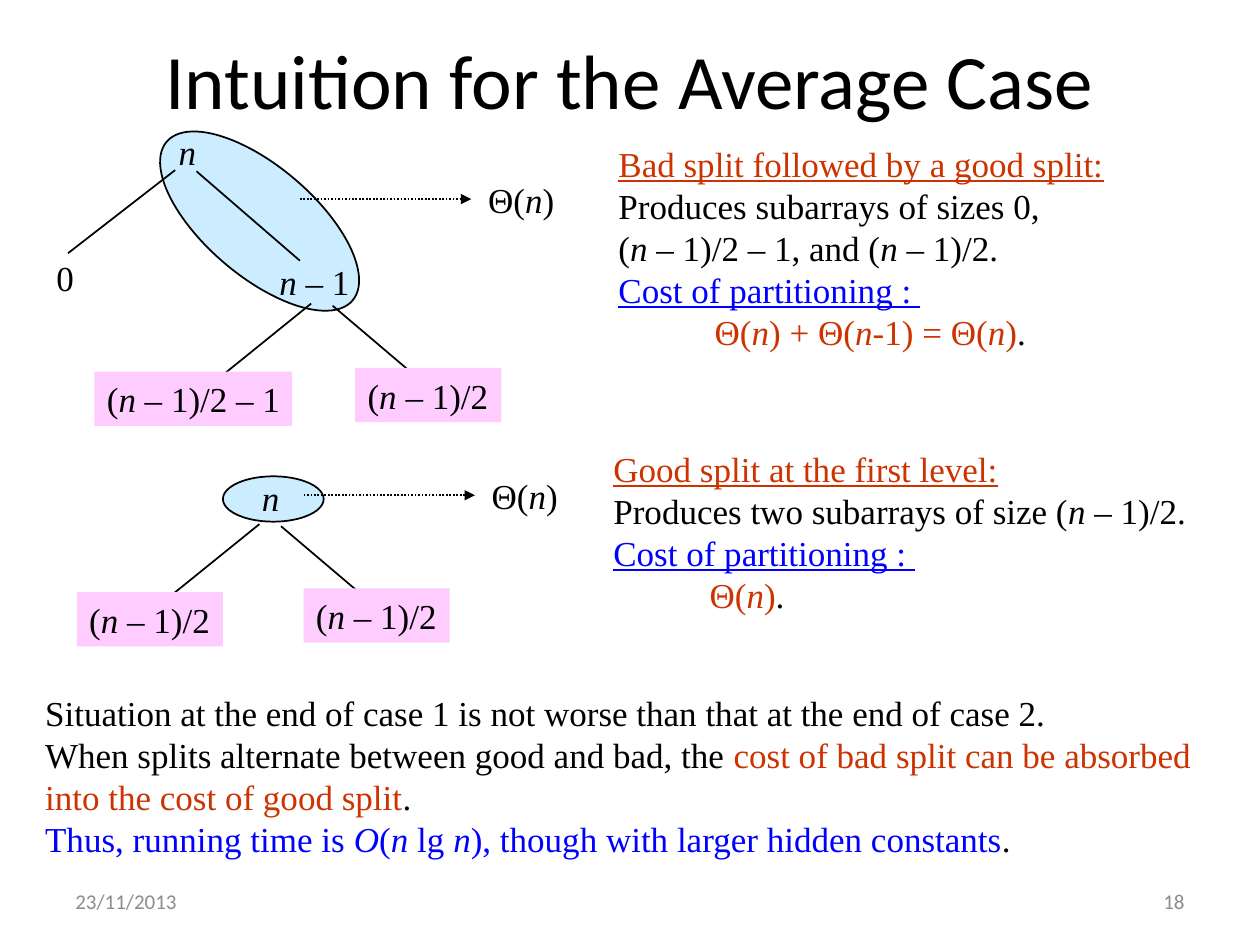
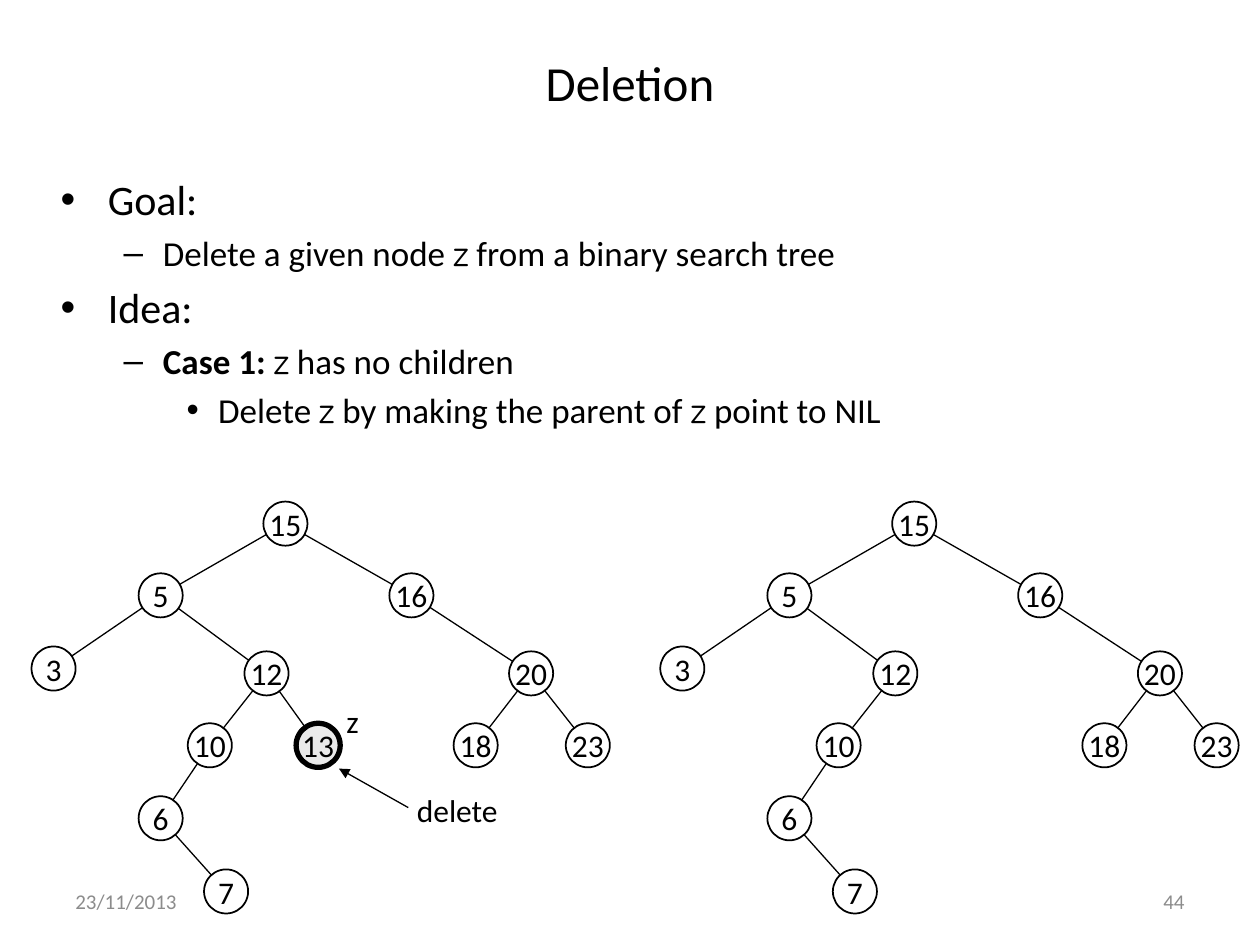
from dataclasses import dataclass
from math import hypot
from typing import NamedTuple

from lxml import etree
from pptx import Presentation
from pptx.dml.color import RGBColor
from pptx.enum.dml import MSO_LINE
from pptx.enum.shapes import MSO_CONNECTOR, MSO_SHAPE
from pptx.enum.text import MSO_ANCHOR, MSO_AUTO_SIZE, PP_ALIGN
from pptx.oxml.ns import qn
from pptx.util import Pt

OVAL, RECTANGLE = MSO_SHAPE.OVAL, MSO_SHAPE.RECTANGLE
STRAIGHT, DOTTED = MSO_CONNECTOR.STRAIGHT, MSO_LINE.ROUND_DOT
LEFT, CENTER, RIGHT = PP_ALIGN.LEFT, PP_ALIGN.CENTER, PP_ALIGN.RIGHT
TOP, MIDDLE = MSO_ANCHOR.TOP, MSO_ANCHOR.MIDDLE


@dataclass(frozen=True)
class Theme:
    black: RGBColor = RGBColor(0x00, 0x00, 0x00)
    white: RGBColor = RGBColor(0xFF, 0xFF, 0xFF)
    gray: RGBColor = RGBColor(0x8C, 0x8C, 0x8C)
    red: RGBColor = RGBColor(0xCC, 0x33, 0x00)
    blue: RGBColor = RGBColor(0x00, 0x00, 0xFF)
    sky: RGBColor = RGBColor(0xCC, 0xEC, 0xFF)
    pink: RGBColor = RGBColor(0xFF, 0xCC, 0xFF)
    marked: RGBColor = RGBColor(0xEA, 0xEA, 0xEA)
    sans: str = "Calibri"
    serif: str = "Times New Roman"
    variable: str = "Comic Neue"
    title: float = 44
    small_title: float = 28
    goal: float = 24
    text: float = 20
    node: float = 18
    footer: float = 12
    outline: float = 1
    edge: float = 0.75
    heavy: float = 3


THEME = Theme()


class Box(NamedTuple):
    left: float
    top: float
    width: float
    height: float


class Point(NamedTuple):
    x: float
    y: float


class Span(NamedTuple):
    """Text in one colour; asterisks enclose its variables."""
    text: str
    color: RGBColor = THEME.black
    underline: bool = False
    bold: bool = False


class Line(NamedTuple):
    spans: tuple[Span, ...]
    size: float = THEME.text
    level: int = 0
    indent: float = 0


class Fork(NamedTuple):
    """Two branches and their leaf boxes."""
    start: Point
    left_leaf: str
    left_offset: float
    left_width: float


class Cost(NamedTuple):
    arrow_start: Point
    summary_box: Box
    summary: tuple[Line, ...]


# Shared drawing functions
def plain(text: str, size: float = THEME.text, color: RGBColor = THEME.black) -> tuple[Line, ...]:
    return (Line((Span(text, color),), size),)


def write(frame, lines: tuple[Line, ...], font: str, align=LEFT, anchor=TOP, wrap: bool = True) -> None:
    frame.auto_size = MSO_AUTO_SIZE.NONE
    frame.word_wrap = wrap
    frame.vertical_anchor = anchor
    for index, line in enumerate(lines):
        para = frame.add_paragraph() if index else frame.paragraphs[0]
        para.alignment, para.level = align, line.level
        if not index:
            para.space_before = Pt(0)
        if line.indent:
            para._p.get_or_add_pPr().set("marL", str(Pt(line.indent)))
        for span in line.spans:
            write_span(para, span, line.size, font)


def write_span(para, span: Span, size: float, font: str) -> None:
    if span.text == "\v":
        para.add_line_break()
        return
    for index, piece in enumerate(span.text.split("*")):
        if not piece:
            continue
        is_variable = index % 2 == 1
        run = para.add_run()
        run.text = piece
        run.font.size = Pt(size)
        run.font.color.rgb = span.color
        run.font.name = THEME.variable if is_variable and font == THEME.sans else font
        if is_variable and font == THEME.serif:
            run.font.italic = True
        if span.underline:
            run.font.underline = True
        if span.bold:
            run.font.bold = True


def place(shape, box: Box) -> None:
    shape.left, shape.top, shape.width, shape.height = map(Pt, box)


def add_text(shapes, box: Box, lines: tuple[Line, ...], font: str, align=LEFT,
             anchor=TOP, wrap: bool = False) -> None:
    write(shapes.add_textbox(*map(Pt, box)).text_frame, lines, font, align, anchor, wrap)


def add_shape(shapes, kind, box: Box, fill: RGBColor, weight: float = 0):
    shape = shapes.add_shape(kind, *map(Pt, box))
    shape.shadow.inherit = False
    shape.fill.solid()
    shape.fill.fore_color.rgb = fill
    if weight:
        shape.line.color.rgb = THEME.black
        shape.line.width = Pt(weight)
    else:
        shape.line.fill.background()
    return shape


def add_line(shapes, start: Point, end: Point, weight: float, arrow: bool = False, dotted: bool = False) -> None:
    connector = shapes.add_connector(STRAIGHT, *map(Pt, (*start, *end)))
    connector.line.color.rgb = THEME.black
    connector.line.width = Pt(weight)
    if dotted:
        connector.line.dash_style = DOTTED
    properties = connector.element.spPr
    if arrow:
        etree.SubElement(properties.find(qn("a:ln")), qn("a:tailEnd"), type="triangle")
    etree.SubElement(properties, qn("a:effectLst"))


def add_page(deck, layout: int, title: str, box: Box, size: float, number: str):
    page = deck.slides.add_slide(deck.slide_layouts[layout])
    place(page.shapes.title, box)
    write(page.shapes.title.text_frame, plain(title, size), THEME.sans, CENTER, MIDDLE)
    for left, text, align in ((36, "23/11/2013", LEFT), (516.2, number, RIGHT)):
        add_text(page.shapes, Box(left, 500.4, 167.8, 28.8),
                 plain(text, THEME.footer, THEME.gray), THEME.sans, align, MIDDLE, True)
    return page


# Slide 1: recursion trees and their costs
LABEL_HEIGHT = 31
FORKS = (
    Fork(Point(177.8, 173.5), "(*n* – 1)/2 – 1", -123.8, 113),
    Fork(Point(148.3, 299.5), "(*n* – 1)/2", -104.4, 83.5),
)
COST_TITLE = Line((Span("Cost of partitioning : ", THEME.blue, True),))
COSTS = (
    Cost(Point(171.4, 113.8), Box(346.3, 77.8, 353.5, 127.4), (
        Line((Span("Bad split followed by a good split:", THEME.red, True),)),
        Line((Span("Produces subarrays of sizes 0,"), Span("\v"),
              Span("(*n* – 1)/2 – 1, and (*n* – 1)/2."))),
        COST_TITLE,
        Line((Span("Θ(*n*) + Θ(*n*-1) = Θ(*n*)", THEME.red), Span(".")), indent=55),
    )),
    Cost(Point(173.5, 283), Box(343.4, 252, 353.5, 103), (
        Line((Span("Good split at the first level:", THEME.red, True),)),
        Line((Span("Produces two subarrays of size (*n* – 1)/2."),)),
        COST_TITLE,
        Line((Span("Θ(*n*)", THEME.red), Span(".")), indent=55),
    )),
)
CONCLUSION = (
    Line((Span("Situation at the end of case 1 is not worse than that at the end of case 2."),)),
    Line((Span("When splits alternate between good and bad, the "),
          Span("cost of bad split can be absorbed into the cost of good split", THEME.red), Span("."))),
    Line((Span("Thus, running time is *O*(*n *lg *n*), though with larger hidden constants", THEME.blue),
          Span("."))),
)


def add_leaf(shapes, box: Box, text: str) -> None:
    leaf = add_shape(shapes, RECTANGLE, box, THEME.pink)
    write(leaf.text_frame, plain(text), THEME.serif, wrap=False)


def add_fork(shapes, fork: Fork) -> None:
    x, y = fork.start
    add_line(shapes, fork.start, Point(x - 53.2, y + 43), THEME.outline)
    add_line(shapes, Point(x + 12.3, y + 1.2), Point(x + 62.7, y + 44), THEME.outline)
    add_leaf(shapes, Box(x + fork.left_offset, y + 38.9, fork.left_width, LABEL_HEIGHT), fork.left_leaf)
    add_leaf(shapes, Box(x + 25.2, y + 36.7, 83.5, LABEL_HEIGHT), "(*n – *1)/2")


def add_cost(shapes, cost: Cost) -> None:
    x, y = cost.arrow_start
    add_line(shapes, cost.arrow_start, Point(x + 97.9, y), THEME.outline, arrow=True, dotted=True)
    add_text(shapes, Box(x + 100.4, y - 15.2, 52.6, LABEL_HEIGHT), plain("Θ(*n*)"), THEME.serif)
    add_text(shapes, cost.summary_box, cost.summary, THEME.serif, wrap=True)


def build_average_case(deck) -> None:
    page = add_page(deck, 5, "Intuition for the Average Case", Box(36, 0, 648, 90), THEME.title, "18")
    shapes = page.shapes
    add_shape(shapes, OVAL, Box(127.4, 272.2, 57.6, 25.9), THEME.sky, THEME.outline)
    bad_split = add_shape(shapes, OVAL, Box(78.5, 95, 139.7, 62.6), THEME.sky, THEME.outline)
    bad_split.rotation = 220.5
    add_line(shapes, Point(100.1, 97.2), Point(38.9, 144.7), THEME.outline)
    add_line(shapes, Point(112.3, 97.9), Point(171.4, 149), THEME.outline)
    for left, top, width, text in (
        (95, 71.3, 24.5, "*n*"),
        (25.2, 143.3, 24.5, "0"),
        (152.6, 145.4, 54.7, "*n – *1"),
        (142.6, 268.6, 24.5, "*n*"),
    ):
        add_text(shapes, Box(left, top, width, LABEL_HEIGHT), plain(text), THEME.serif)
    for fork, cost in zip(FORKS, COSTS):
        add_fork(shapes, fork)
        add_cost(shapes, cost)
    add_text(shapes, Box(18.7, 391.7, 701.3, 103), CONCLUSION, THEME.serif, wrap=True)


# Slide 2: deletion from a binary search tree
NODE_SIZE = 25.2
TREE_GAP = 359.3
DELETED = "13"
NODES = {
    "15": Point(163.1, 299.2), "16": Point(235.1, 340.2), "20": Point(303.5, 384.8),
    "18": Point(271.8, 425.9), "23": Point(335.9, 425.9), "5": Point(91.8, 340.2),
    "3": Point(30.6, 382), "12": Point(152.3, 384.8), "10": Point(119.9, 425.9),
    DELETED: Point(181.8, 425.9), "6": Point(91.8, 467.6), "7": Point(129.2, 509.4),
}
PARENTS = {"5": "15", "16": "15", "3": "5", "12": "5", "20": "16", "18": "20",
           "23": "20", "10": "12", DELETED: "12", "6": "10", "7": "6"}
PLAN = (
    Line((Span("Goal:"),), THEME.goal),
    Line((Span("Delete a given node *z* from a binary search tree"),), level=1),
    Line((Span("Idea:"),), THEME.goal),
    Line((Span("Case 1: ", bold=True), Span("*z* has no children")), level=1),
    Line((Span("Delete *z* by making the parent of *z* point to NIL"),), level=2),
)


def add_edge(shapes, parent: Point, child: Point) -> None:
    """Join two nodes from rim to rim."""
    across, down = child.x - parent.x, child.y - parent.y
    trim = NODE_SIZE / 2 / hypot(across, down)
    add_line(shapes, Point(parent.x + across * trim, parent.y + down * trim),
             Point(child.x - across * trim, child.y - down * trim), THEME.edge)


def add_tree(page, shift: float, with_deleted: bool):
    shapes = page.shapes.add_group_shape().shapes
    nodes = {key: Point(x + shift, y) for key, (x, y) in NODES.items() if with_deleted or key != DELETED}
    for key, (x, y) in nodes.items():
        box = Box(x - NODE_SIZE / 2, y - NODE_SIZE / 2, NODE_SIZE, NODE_SIZE)
        fill, weight = (THEME.marked, THEME.heavy) if key == DELETED else (THEME.white, THEME.outline)
        node = add_shape(shapes, OVAL, box, fill, weight)
        write(node.text_frame, plain(key, THEME.node), THEME.sans, CENTER, MIDDLE, False)
        if key in PARENTS:
            add_edge(shapes, nodes[PARENTS[key]], nodes[key])
    return shapes


def build_deletion(deck) -> None:
    page = add_page(deck, 1, "Deletion", Box(36, 21.6, 648, 50.4), THEME.small_title, "44")
    body = page.placeholders[1]
    place(body, Box(27.4, 95.8, 657.4, 181.4))
    write(body.text_frame, PLAN, THEME.sans)
    before = add_tree(page, 0, True)
    add_text(before, Box(231.1, 448.6, 63.4, 28.8), plain("delete", THEME.node), THEME.sans)
    add_line(before, Point(233.3, 461.5), Point(193.7, 439.2), THEME.edge, arrow=True)
    add_tree(page, TREE_GAP, False)
    add_text(page.shapes, Box(190.8, 397.4, 23.8, 28.8), plain("z", THEME.node), THEME.sans)


def main() -> None:
    deck = Presentation()
    deck.slide_width, deck.slide_height = Pt(720), Pt(540)
    build_average_case(deck)
    build_deletion(deck)
    deck.save("out.pptx")


if __name__ == "__main__":
    main()
